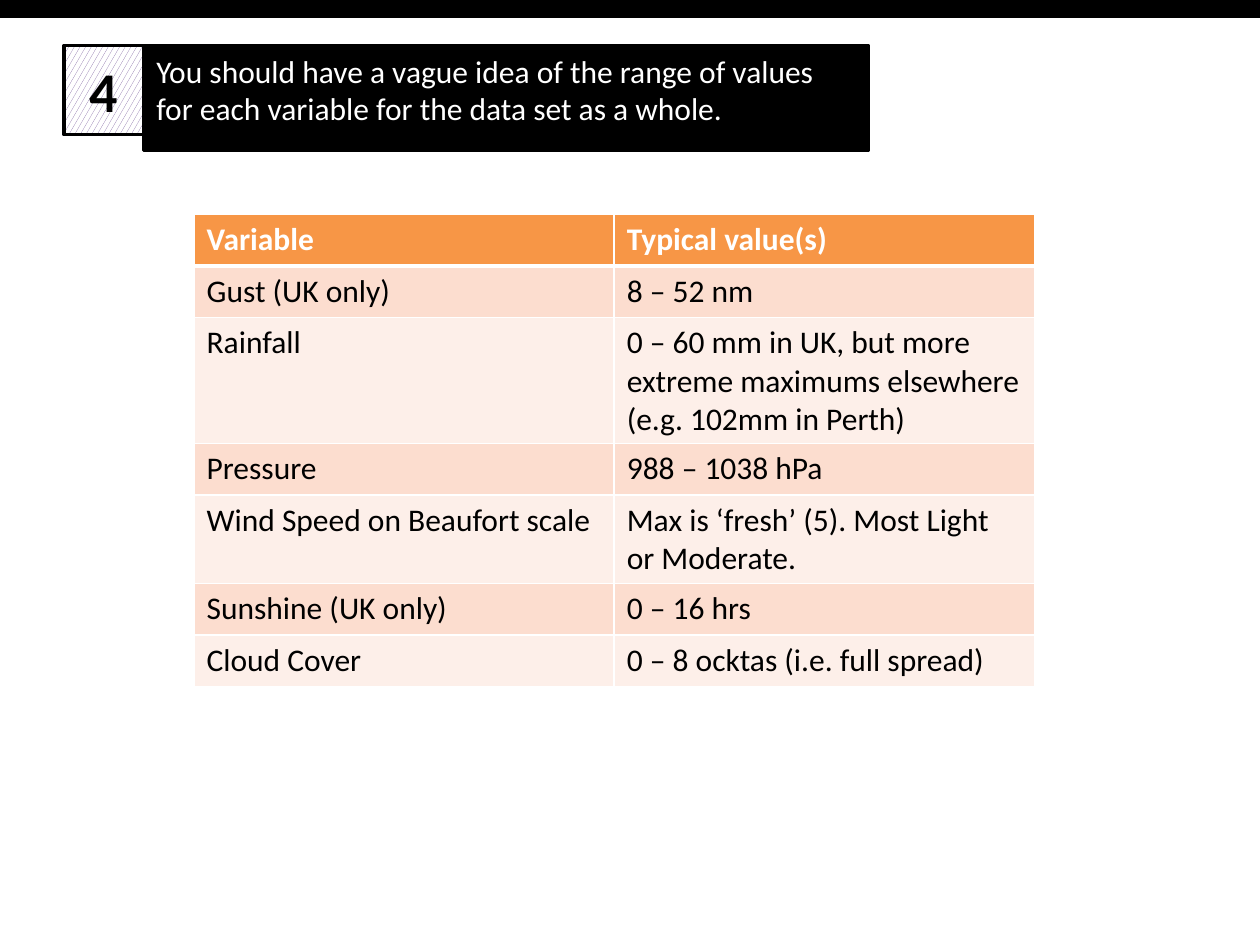
from dataclasses import dataclass

from lxml import etree
from pptx import Presentation
from pptx.dml.color import RGBColor
from pptx.enum.dml import MSO_PATTERN
from pptx.enum.shapes import MSO_SHAPE
from pptx.enum.text import MSO_ANCHOR, MSO_AUTO_SIZE, PP_ALIGN
from pptx.oxml.ns import qn
from pptx.util import Inches, Pt

RECTANGLE = MSO_SHAPE.RECTANGLE
CONFETTI = MSO_PATTERN.LARGE_CONFETTI
LEFT, CENTER = PP_ALIGN.LEFT, PP_ALIGN.CENTER
TOP, MIDDLE = MSO_ANCHOR.TOP, MSO_ANCHOR.MIDDLE
FIT_SHAPE = MSO_AUTO_SIZE.SHAPE_TO_FIT_TEXT
TITLE_ONLY = 5


@dataclass(frozen=True)
class Theme:
    font: str = "Calibri"
    black: str = "000000"
    white: str = "FFFFFF"
    purple: str = "8064A2"
    header: str = "F79646"
    bands: tuple = ("FCDDCF", "FDEFE9")
    body_size: int = 18
    number_size: int = 32
    outline: int = 2
    border: int = 1
    header_rule: int = 3


THEME = Theme()

VARIABLES = [
    ("Variable", "Typical value(s)"),
    ("Gust (UK only)", "8 – 52 nm"),
    ("Rainfall", "0 – 60 mm in UK, but more extreme maximums elsewhere "
                 "(e.g. 102mm in Perth)"),
    ("Pressure", "988 – 1038 hPa"),
    ("Wind Speed on Beaufort scale", "Max is ‘fresh’ (5). Most Light or Moderate."),
    ("Sunshine (UK only)", "0 – 16 hrs"),
    ("Cloud Cover", "0 – 8 ocktas (i.e. full spread)"),
]


def color(code):
    return RGBColor.from_string(code)


def write(frame, text, size=THEME.body_size, ink=THEME.black, bold=False, align=LEFT):
    paragraph = frame.paragraphs[0]
    paragraph.alignment = align
    run = paragraph.add_run()
    run.text = text
    run.font.name = THEME.font
    run.font.size = Pt(size)
    run.font.bold = bold
    run.font.color.rgb = color(ink)


def paint_black(shape):
    shape.fill.solid()
    shape.fill.fore_color.rgb = color(THEME.black)
    outline(shape)


def outline(shape):
    shape.line.color.rgb = color(THEME.black)
    shape.line.width = Pt(THEME.outline)
    shape.shadow.inherit = False


def add_heading(slide, left, top, width, height, number, statement):
    """Numbered tile followed by the black statement bar."""
    tile_width = Inches(0.63)

    # Statement bar
    bar = slide.shapes.title
    bar.left, bar.top = left + tile_width, top
    bar.width, bar.height = width - tile_width, height
    paint_black(bar)
    bar.text_frame.word_wrap = True
    bar.text_frame.auto_size = FIT_SHAPE
    bar.text_frame.vertical_anchor = TOP
    write(bar.text_frame, statement, ink=THEME.white)

    # Number tile
    tile = slide.shapes.add_shape(RECTANGLE, left, top, tile_width, height)
    tile.fill.patterned()
    tile.fill.pattern = CONFETTI
    tile.fill.fore_color.rgb = color(THEME.purple)
    tile.fill.back_color.rgb = color(THEME.white)
    outline(tile)
    tile.text_frame.vertical_anchor = MIDDLE
    write(tile.text_frame, number, size=THEME.number_size, bold=True, align=CENTER)


def add_top_band(slide, left, top, width, height):
    paint_black(slide.shapes.add_shape(RECTANGLE, left, top, width, height))


def set_borders(cell, bottom, top):
    properties = cell._tc.get_or_add_tcPr()
    widths = {"a:lnL": THEME.border, "a:lnR": THEME.border, "a:lnT": top, "a:lnB": bottom}
    for tag, width in widths.items():
        edge = etree.SubElement(properties, qn(tag), w=str(Pt(width)))
        fill = etree.SubElement(edge, qn("a:solidFill"))
        etree.SubElement(fill, qn("a:srgbClr"), val=THEME.white)


def add_value_table(slide, left, top, width, height, rows):
    columns = len(rows[0])
    frame = slide.shapes.add_table(len(rows), columns, left, top, width, height)
    for row in frame.table.rows:
        row.height = Inches(0.41)  # rows with longer text grow
    frame.height = height

    for r, texts in enumerate(rows):
        is_header = r == 0
        fill = THEME.header if is_header else THEME.bands[(r - 1) % 2]
        for c, text in enumerate(texts):
            cell = frame.table.cell(r, c)
            set_borders(cell,
                        bottom=THEME.header_rule if is_header else THEME.border,
                        top=THEME.header_rule if r == 1 else THEME.border)
            cell.fill.solid()
            cell.fill.fore_color.rgb = color(fill)
            write(cell.text_frame, text, bold=is_header,
                  ink=THEME.white if is_header else THEME.black)


def main():
    deck = Presentation()
    deck.slide_width, deck.slide_height = Inches(10), Inches(7.5)
    slide = deck.slides.add_slide(deck.slide_layouts[TITLE_ONLY])

    add_heading(slide, Inches(0.51), Inches(0.36), Inches(6.38), Inches(0.71), "4",
                "You should have a vague idea of the range of values "
                "for each variable for the data set as a whole.")
    add_top_band(slide, 0, 0, deck.slide_width, Inches(0.13))
    add_value_table(slide, Inches(1.54), Inches(1.7), Inches(6.67), Inches(3.73), VARIABLES)

    deck.save("out.pptx")


if __name__ == "__main__":
    main()
